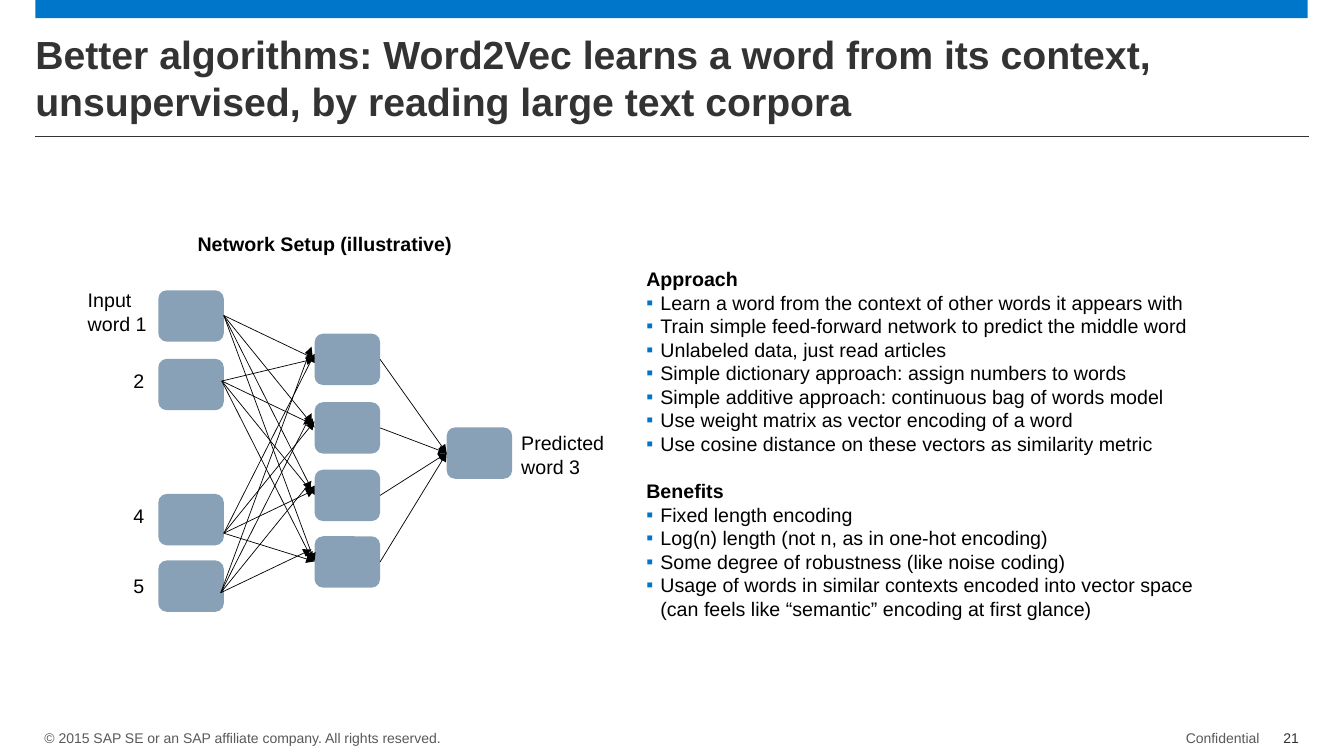
from copy import deepcopy

from lxml import etree
from pptx import Presentation
from pptx.dml.color import RGBColor
from pptx.enum.shapes import MSO_CONNECTOR, MSO_SHAPE
from pptx.enum.text import MSO_ANCHOR, MSO_AUTO_SIZE, PP_ALIGN
from pptx.oxml.ns import qn
from pptx.util import Inches, Pt

BLUE = RGBColor(0x00, 0x76, 0xCB)
NAVY = RGBColor(0x15, 0x44, 0x6F)
BLACK = RGBColor(0x00, 0x00, 0x00)
DARK = RGBColor(0x33, 0x33, 0x33)
GREY = RGBColor(0x59, 0x59, 0x59)

LEFT, RIGHT = PP_ALIGN.LEFT, PP_ALIGN.RIGHT
TOP, MIDDLE = MSO_ANCHOR.TOP, MSO_ANCHOR.MIDDLE
NO_AUTOFIT = MSO_AUTO_SIZE.NONE
STRAIGHT = MSO_CONNECTOR.STRAIGHT
RECTANGLE, ROUNDED = MSO_SHAPE.RECTANGLE, MSO_SHAPE.ROUNDED_RECTANGLE

NODE_WIDTH, NODE_HEIGHT = 0.65, 0.51
INPUT_X, HIDDEN_X, OUTPUT_X = 1.57, 3.12, 4.43
INPUT_TOPS = (2.88, 3.56, 4.9, 5.56)
HIDDEN_TOPS = (3.31, 3.99, 4.66, 5.32)
OUTPUT_TOP = 4.24

# Start of each fan of arrows, and the ends it reaches in the hidden layer
INPUT_FANS = [
    ((2.22, 3.13), [(3.12, 3.56), (3.12, 4.24), (3.12, 4.91), (3.12, 5.57)]),
    ((2.2, 3.78), [(3.12, 3.56), (3.1, 4.21), (3.1, 4.89), (3.1, 5.56)]),
    ((2.22, 5.29), [(3.12, 3.51), (3.12, 4.18), (3.12, 4.86), (3.12, 5.57)]),
    ((2.19, 5.88), [(3.09, 3.44), (3.09, 4.1), (3.09, 4.77), (3.09, 5.45)]),
]

SECTIONS = {
    "Approach": [
        "Learn a word from the context of other words it appears with",
        "Train simple feed-forward network to predict the middle word",
        "Unlabeled data, just read articles",
        "Simple dictionary approach: assign numbers to words",
        "Simple additive approach: continuous bag of words model",
        "Use weight matrix as vector encoding of a word",
        "Use cosine distance on these vectors as similarity metric",
    ],
    "Benefits": [
        "Fixed length encoding",
        "Log(n) length (not n, as in one-hot encoding)",
        "Some degree of robustness (like noise coding)",
        "Usage of words in similar contexts encoded into vector space\v"
        "(can feels like “semantic” encoding at first glance)",
    ],
}


def write(paragraph, text, size=14, color=BLACK, bold=False, align=LEFT, before=0):
    paragraph.text = text
    paragraph.alignment = align
    paragraph.space_before = Pt(before)
    for run in paragraph.runs:
        run.font.name = "Arial"
        run.font.size = Pt(size)
        run.font.bold = bold
        run.font.color.rgb = color
    # Line breaks take the size of the text around them
    for line_break in paragraph._p.findall(qn("a:br")):
        line_break.append(deepcopy(paragraph.runs[0]._r.rPr))


def place(shape, left, top, width, height):
    shape.left, shape.top = Inches(left), Inches(top)
    shape.width, shape.height = Inches(width), Inches(height)


def set_frame(shape, margins=(0, 0, 0, 0), anchor=TOP, wrap=True):
    frame = shape.text_frame
    frame.auto_size = NO_AUTOFIT
    frame.word_wrap = wrap
    frame.vertical_anchor = anchor
    (frame.margin_left, frame.margin_top,
     frame.margin_right, frame.margin_bottom) = map(Inches, margins)
    return frame


def add_label(slide, text, box, margins=(0, 0, 0, 0), anchor=TOP, **text_format):
    label = slide.shapes.add_textbox(*map(Inches, box))
    frame = set_frame(label, margins, anchor, wrap=False)
    write(frame.paragraphs[0], text, **text_format)


def add_block(slide, preset, box, color, opacity=None):
    block = slide.shapes.add_shape(preset, *map(Inches, box))
    block.shadow.inherit = False
    block.fill.solid()
    block.fill.fore_color.rgb = color
    block.line.fill.background()
    if opacity is not None:
        color_element = block._element.spPr.find(".//" + qn("a:srgbClr"))
        etree.SubElement(color_element, qn("a:alpha"), val=str(opacity * 1000))


def add_node(slide, left, top):
    add_block(slide, ROUNDED, (left, top, NODE_WIDTH, NODE_HEIGHT), NAVY, opacity=50)


def add_line(slide, start, end, color=BLACK, arrow=False):
    line = slide.shapes.add_connector(STRAIGHT, *map(Inches, (*start, *end)))
    line.line.color.rgb = color
    line.line.width = Pt(0.5)
    if arrow:
        etree.SubElement(line.line._get_or_add_ln(), qn("a:tailEnd"), type="triangle")
    etree.SubElement(line._element.spPr, qn("a:effectLst"))


def set_bullet(paragraph, bulleted):
    properties = paragraph._p.get_or_add_pPr()
    indent = Inches(0.14) if bulleted else 0
    properties.set("marL", str(indent))
    properties.set("indent", str(-indent))
    if bulleted:
        bullet_color = etree.SubElement(properties, qn("a:buClr"))
        etree.SubElement(bullet_color, qn("a:srgbClr"), val=str(BLUE))
        etree.SubElement(properties, qn("a:buFont"), typeface="Arial")
        etree.SubElement(properties, qn("a:buChar"), char="▪")
    else:
        etree.SubElement(properties, qn("a:buNone"))


def add_frame_parts(slide):
    add_block(slide, RECTANGLE, (0.35, 0, 12.62, 0.18), BLUE)
    add_line(slide, (0.35, 1.35), (12.98, 1.35), color=DARK)
    add_label(slide, "© 2015 SAP SE or an SAP affiliate company. All rights reserved.",
              (0.35, 7.24, 4.08, 0.2), margins=(0.09, 0, 0, 0), size=10, color=GREY)
    inset = (0.1, 0.05, 0.1, 0.05)
    add_label(slide, "Confidential", (11.49, 7.18, 1.1, 0.28), inset, MIDDLE,
              size=10, color=GREY, align=RIGHT)
    add_label(slide, "21", (12.59, 7.19, 0.39, 0.27), inset, MIDDLE,
              size=10, color=DARK, align=RIGHT)


def fill_title(slide):
    title = slide.shapes.title
    place(title, 0.35, 0.35, 12.62, 0.83)
    frame = set_frame(title, anchor=MIDDLE)
    write(frame.paragraphs[0],
          "Better algorithms: Word2Vec learns a word from its context, "
          "unsupervised, by reading large text corpora",
          size=28, color=DARK, bold=True)


def fill_body(slide):
    body = slide.placeholders[1]
    place(body, 6.31, 2.6, 6.67, 3.64)
    frame = set_frame(body, margins=(0.1, 0.05, 0.1, 0.05))
    paragraph = frame.paragraphs[0]
    for number, (heading, points) in enumerate(SECTIONS.items()):
        if number:
            paragraph = frame.add_paragraph()
        set_bullet(paragraph, False)
        write(paragraph, heading, bold=True, before=17 if number else 0)
        for point in points:
            paragraph = frame.add_paragraph()
            set_bullet(paragraph, True)
            write(paragraph, point)


def draw_network(slide):
    # Nodes of the three layers
    for top in INPUT_TOPS:
        add_node(slide, INPUT_X, top)
    for top in HIDDEN_TOPS:
        add_node(slide, HIDDEN_X, top)
    add_node(slide, OUTPUT_X, OUTPUT_TOP)

    # Arrows between the layers
    for start, ends in INPUT_FANS:
        for end in ends:
            add_line(slide, start, end, arrow=True)
    middle = NODE_HEIGHT / 2
    for top in HIDDEN_TOPS:
        add_line(slide, (HIDDEN_X + NODE_WIDTH, top + middle),
                 (OUTPUT_X, OUTPUT_TOP + middle), arrow=True)

    # Labels
    add_label(slide, "Network Setup (illustrative)", (1.96, 2.3, 2.53, 0.24), bold=True)
    add_label(slide, "Input\vword 1", (0.87, 2.86, 0.59, 0.47))
    for text, top in (("2", 3.66), ("4", 5), ("5", 5.69)):
        add_label(slide, text, (1.32, top, 0.11, 0.24), align=RIGHT)
    add_label(slide, "Predicted\vword 3", (5.17, 4.28, 0.83, 0.47))


def main():
    presentation = Presentation()
    presentation.slide_width = Inches(13.33)
    presentation.slide_height = Inches(7.5)
    slide = presentation.slides.add_slide(presentation.slide_layouts[1])
    add_frame_parts(slide)
    fill_title(slide)
    draw_network(slide)
    fill_body(slide)
    presentation.save("out.pptx")


if __name__ == "__main__":
    main()
